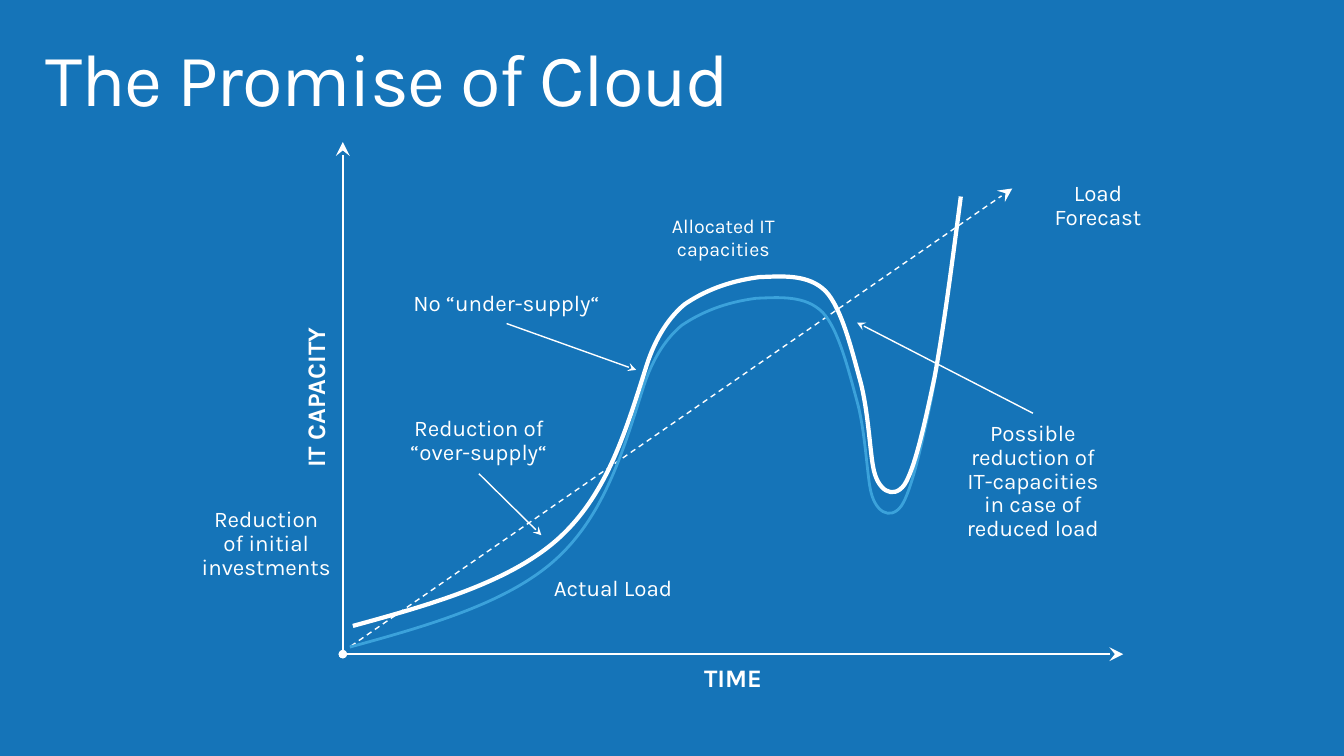
from pptx import Presentation
from pptx.dml.color import RGBColor
from pptx.enum.dml import MSO_LINE
from pptx.enum.shapes import MSO_CONNECTOR, MSO_SHAPE
from pptx.enum.text import MSO_ANCHOR, MSO_AUTO_SIZE, PP_ALIGN
from pptx.oxml.ns import qn
from pptx.util import Inches, Pt
from lxml.etree import SubElement

FONT = "Karla"
WHITE, LIGHT_BLUE, BACKGROUND = "FFFFFF", "3BA2DB", "1574B8"
ORIGIN = (3.4, 6.49)
ALLOCATED_OFFSET = (0.03, -0.21)
LOAD_CURVE = [
    (3.47, 6.42),
    (4.24, 6.21), (5.01, 5.99), (5.49, 5.57),
    (5.98, 5.14), (6.17, 4.51), (6.37, 3.88),
    (6.45, 3.61), (6.58, 3.38), (6.76, 3.23),
    (6.95, 3.1), (7.19, 3), (7.5, 2.96),
    (7.74, 2.95), (7.99, 2.93), (8.16, 3.1),
    (8.32, 3.27), (8.42, 3.69), (8.5, 3.98),
    (8.58, 4.27), (8.6, 4.69), (8.63, 4.84),
    (8.67, 5.08), (8.83, 5.17), (8.94, 5.02),
    (9.04, 4.87), (9.14, 4.43), (9.24, 3.95),
    (9.33, 3.47), (9.42, 2.77), (9.5, 2.16),
]


def color(value):
    """Return the colour for a hex string."""
    return RGBColor.from_string(value)


def style_line(line, value, width):
    """Give a line its colour and width in points."""
    line.color.rgb = color(value)
    line.width = Pt(width)


def add_text(shape, lines, size, bold=False, spacing=None, align=PP_ALIGN.CENTER):
    """Write lines, split by breaks, into the first paragraph of a shape."""
    paragraph = shape.text_frame.paragraphs[0]
    paragraph.alignment = align
    if spacing:
        paragraph.line_spacing = spacing
    for index, text in enumerate(lines):
        if index:
            paragraph.add_line_break()
        run = paragraph.add_run()
        run.text = text
        run.font.name = FONT
        run.font.size = Pt(size)
        run.font.bold = bold
        run.font.color.rgb = color(WHITE)
    return paragraph


def add_title(slide, box, text):
    """Place the title placeholder in the box."""
    title = slide.shapes.title
    title.left, title.top, title.width, title.height = map(Inches, box)
    frame = title.text_frame
    frame.auto_size = MSO_AUTO_SIZE.NONE
    frame.vertical_anchor = MSO_ANCHOR.TOP
    frame.margin_left = frame.margin_right = Inches(0.16)
    frame.margin_top = frame.margin_bottom = Inches(0.1)
    paragraph = add_text(title, [text], 52.9, spacing=0.9, align=PP_ALIGN.LEFT)
    paragraph.runs[0].font._element.set("spc", "-100")


def add_text_box(slide, box, text, size, bold=False, wrap=False, spacing=None):
    """Add a centred text box."""
    shape = slide.shapes.add_textbox(*map(Inches, box))
    shape.text_frame.word_wrap = wrap
    add_text(shape, [text], size, bold, spacing)
    return shape


def add_label(slide, box, lines, size=16, spacing=None, anchor=MSO_ANCHOR.TOP, corner=None):
    """Add a label in an unfilled rounded rectangle."""
    shape = slide.shapes.add_shape(MSO_SHAPE.ROUNDED_RECTANGLE, *map(Inches, box))
    shape.shadow.inherit = False
    shape.fill.background()
    shape.line.fill.background()
    if corner:
        shape.adjustments[0] = corner
    frame = shape.text_frame
    frame.word_wrap = True
    frame.vertical_anchor = anchor
    frame.margin_left = frame.margin_right = 0
    add_text(shape, lines, size, spacing=spacing)
    return shape


def add_arrow(slide, start, end, dash=None, dot=False, head="med", source=None, side=None):
    """Add a white arrow, joined to a side of its source label if given."""
    arrow = slide.shapes.add_connector(MSO_CONNECTOR.STRAIGHT, *map(Inches, (*start, *end)))
    if source is not None:
        arrow.begin_connect(source, side)
    style_line(arrow.line, WHITE, 1)
    if dash:
        arrow.line.dash_style = dash
    line = arrow.line._get_or_add_ln()
    if dot:
        SubElement(line, qn("a:headEnd"), type="oval")
    SubElement(line, qn("a:tailEnd"), type="stealth", w=head, len=head)
    SubElement(arrow._element.spPr, qn("a:effectLst"))


def add_curve(slide, points, value, width):
    """Draw a start point and triples of control points as a Bezier curve."""
    start, *controls = [(Inches(x), Inches(y)) for x, y in points]
    builder = slide.shapes.build_freeform(*start, scale=1.0)
    builder.add_line_segments(controls, close=False)
    curve = builder.convert_to_shape()
    outline = next(curve._element.iter(qn("a:path")))
    segments = outline.findall(qn("a:lnTo"))
    for index in range(0, len(segments), 3):
        bezier = SubElement(outline, qn("a:cubicBezTo"))
        for segment in segments[index:index + 3]:
            bezier.append(segment[0])
            outline.remove(segment)
    curve.shadow.inherit = False
    curve.fill.background()
    style_line(curve.line, value, width)


def add_axes(slide, box):
    """Draw both axes, their titles and the forecast from the box's lower left."""
    left, top, width, height = box
    bottom = top + height
    add_arrow(slide, (left, bottom), (left + width, bottom), dot=True, head="lg")
    add_arrow(slide, (left, bottom), (left, top), dot=True, head="lg")
    add_text_box(slide, (left + 3.13, bottom + 0.03, 1.48, 0.4), "TIME", 18, bold=True)
    capacity = add_text_box(slide, (left - 1.17, top + 2.33, 1.8, 0.41), "IT CAPACITY", 18, bold=True)
    capacity.rotation = 270
    add_arrow(slide, (left + 0.08, bottom - 0.08), (left + 6.64, top + 0.46),
              dash=MSO_LINE.DASH, head="lg")
    add_text_box(slide, (left + 6.74, top + 0.35, 1.5, 0.58), "Load Forecast", 16,
                 wrap=True, spacing=Pt(17))


def add_callouts(slide):
    """Add the labels around the curves and their arrows."""
    add_label(slide, (5.43, 5.63, 1.3, 0.41), ["Actual Load"])
    add_label(slide, (6.47, 2.04, 1.41, 0.63), ["Allocated IT capacities"], size=14)
    add_label(slide, (1.97, 4.97, 1.34, 0.86), ["Reduction", "of initial investments"],
              spacing=Pt(17), anchor=MSO_ANCHOR.MIDDLE, corner=0.1)
    over_supply = add_label(slide, (4.01, 4.06, 1.48, 0.64), ["Reduction of “over-supply“"],
                            spacing=Pt(17))
    add_arrow(slide, (4.75, 4.7), (5.37, 5.31), source=over_supply, side=2)
    under_supply = add_label(slide, (3.91, 2.8, 2.23, 0.41), ["No “under-supply“"])
    add_arrow(slide, (5.02, 3.21), (6.31, 3.67), source=under_supply, side=2)
    reduction = add_label(slide, (9.48, 4.1, 1.53, 1.37),
                          ["Possible reduction of IT-capacities in case of reduced load"],
                          spacing=Pt(17), corner=0.1)
    add_arrow(slide, (10.24, 4.1), (8.5, 3.2), source=reduction, side=0)


def main():
    """Build and save the slide."""
    presentation = Presentation()
    presentation.slide_width = Inches(13.33)
    presentation.slide_height = Inches(7.5)
    slide = presentation.slides.add_slide(presentation.slide_layouts[5])
    slide.background.fill.solid()
    slide.background.fill.fore_color.rgb = color(BACKGROUND)
    add_title(slide, (0.29, 0.32, 12.62, 0.98), "The Promise of Cloud")
    add_axes(slide, (ORIGIN[0], 1.41, 7.74, ORIGIN[1] - 1.41))
    add_curve(slide, LOAD_CURVE, LIGHT_BLUE, 2)
    add_callouts(slide)
    shift_x, shift_y = ALLOCATED_OFFSET
    add_curve(slide, [(x + shift_x, y + shift_y) for x, y in LOAD_CURVE], WHITE, 3)
    presentation.save("out.pptx")


if __name__ == "__main__":
    main()
